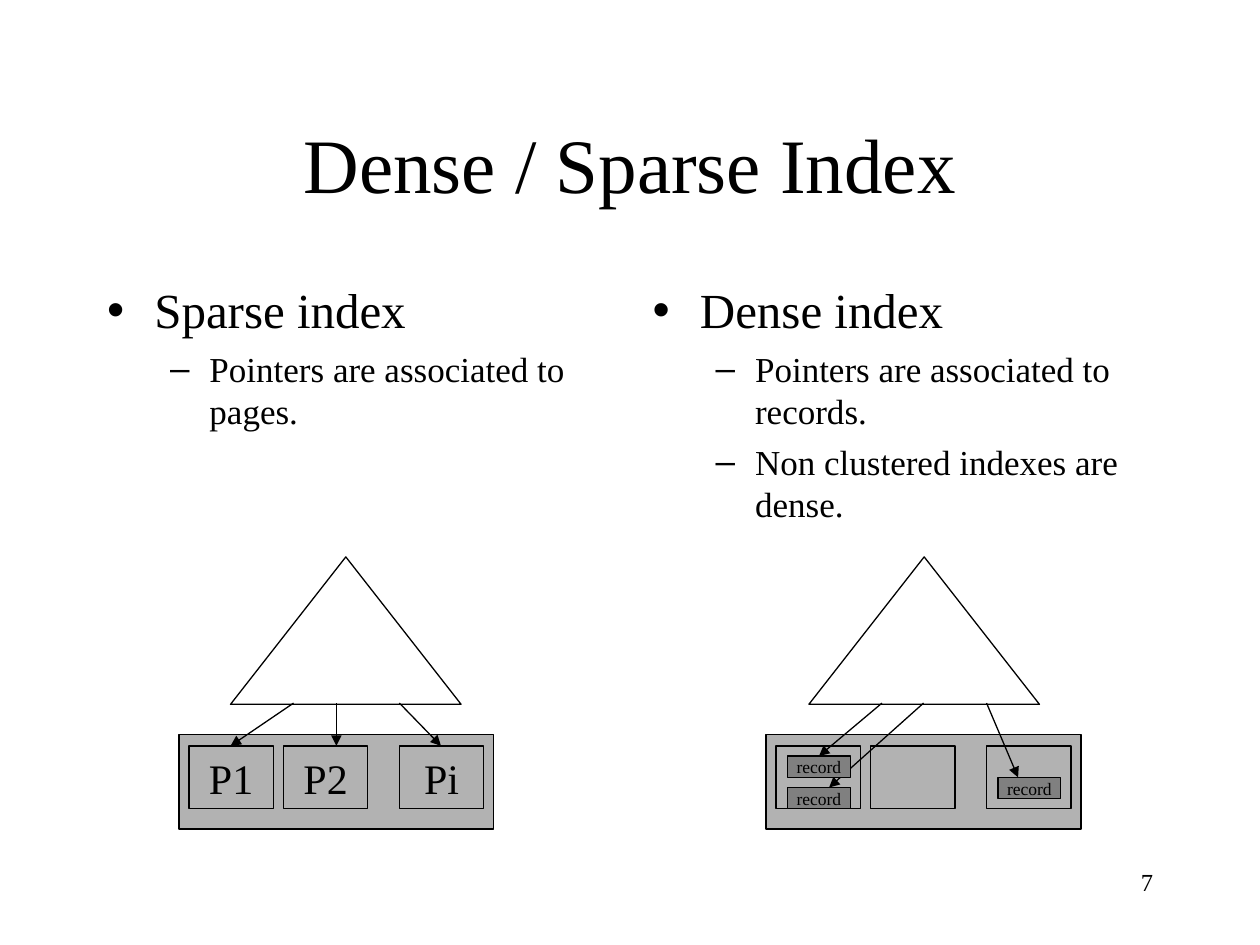
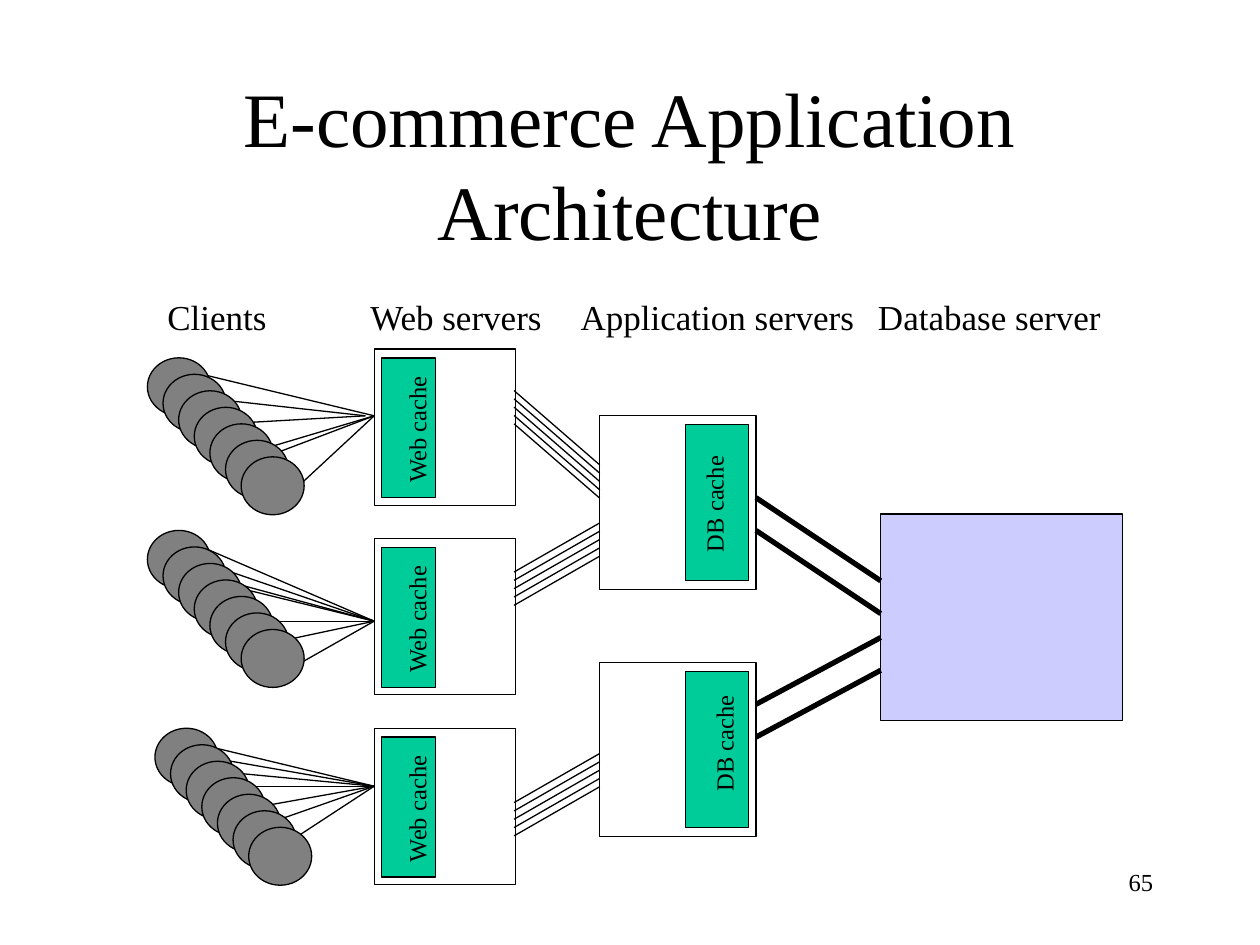
"""Build two slides on index structures and e-commerce architecture."""
from lxml.etree import SubElement
from pptx import Presentation
from pptx.dml.color import RGBColor
from pptx.enum.shapes import MSO_CONNECTOR, MSO_SHAPE as SHAPE
from pptx.enum.text import MSO_ANCHOR as ANCHOR, MSO_AUTO_SIZE as AUTO, PP_ALIGN as ALIGN
from pptx.oxml.ns import qn
from pptx.util import Inches, Pt

FONT = "Times New Roman"
COLORS = {
    "ink": "000000",
    "paper": "FFFFFF",
    "page": "B2B2B2",
    "dark": "808080",
    "cache": "00CC99",
    "database": "CCCCFF",
}
LEVELS = [(28, 7), (20, 5)]


def rgb(name):
    return RGBColor.from_string(COLORS[name])


def style(p, size, align=None):
    p.font.name = FONT
    p.font.size = Pt(size)
    p.font.color.rgb = rgb("ink")
    if align is not None:
        p.alignment = align


def place(sp, x, y, w, h):
    sp.left, sp.top, sp.width, sp.height = (Inches(v) for v in (x, y, w, h))


def add_slide(prs, layout, title, number):
    s = prs.slides.add_slide(prs.slide_layouts[layout])
    sp = s.shapes.title
    place(sp, 0.75, 0.67, 8.5, 1.25)
    tf = sp.text_frame
    tf.text = title
    tf.auto_size = AUTO.NONE
    tf.vertical_anchor = ANCHOR.MIDDLE
    style(tf.paragraphs[0], 44, ALIGN.CENTER)
    tf = s.shapes.add_textbox(Inches(7.17), Inches(6.83), Inches(2.08), Inches(0.5)).text_frame
    tf.word_wrap = True
    tf.text = str(number)
    style(tf.paragraphs[0], 14, ALIGN.RIGHT)
    return s


def fill_list(sp, x, items):
    place(sp, x, 2.17, 4.17, 4.5)
    tf = sp.text_frame
    tf.auto_size = AUTO.NONE
    tf.text = "\n".join(text for _, text in items)
    for i, (p, (level, _)) in enumerate(zip(tf.paragraphs, items)):
        size, before = LEVELS[level]
        p.level = level
        p.space_before = Pt(before if i else 0)
        style(p, size)


def add_label(s, text, x, y, w, h, size, rotation=0):
    sp = s.shapes.add_textbox(Inches(x), Inches(y), Inches(w), Inches(h))
    sp.rotation = rotation
    tf = sp.text_frame
    tf.word_wrap = False
    tf.auto_size = AUTO.SHAPE_TO_FIT_TEXT
    tf.text = text
    style(tf.paragraphs[0], size)


def add_box(s, x, y, w, h, fill=None, text="", size=24, kind=SHAPE.RECTANGLE):
    sp = s.shapes.add_shape(kind, Inches(x), Inches(y), Inches(w), Inches(h))
    sp.shadow.inherit = False
    if fill:
        sp.fill.solid()
        sp.fill.fore_color.rgb = rgb(fill)
    else:
        sp.fill.background()
    sp.line.color.rgb = rgb("ink")
    sp.line.width = Pt(0.75)
    if text:
        tf = sp.text_frame
        tf.word_wrap = False
        tf.vertical_anchor = ANCHOR.MIDDLE
        tf.text = text
        style(tf.paragraphs[0], size, ALIGN.CENTER)


def add_line(s, start, end, width=0.75, arrow=False):
    c = s.shapes.add_connector(MSO_CONNECTOR.STRAIGHT, *(Inches(v) for v in (*start, *end)))
    c.line.color.rgb = rgb("ink")
    c.line.width = Pt(width)
    spPr = c._element.spPr
    if arrow:
        SubElement(spPr.find(qn("a:ln")), qn("a:tailEnd"), type="triangle")
    SubElement(spPr, qn("a:effectLst"))


def add_bundle(s, start, end, count, gap, width=0.75):
    for i in range(count):
        add_line(s, (start[0], start[1] + i * gap), (end[0], end[1] + i * gap), width)


def add_fan(s, starts, hub):
    for start in starts:
        add_line(s, start, hub)


def add_clients(s, x, y):
    for i in range(7):
        add_box(s, x + i * 0.124, y + i * 0.131, 0.5, 0.46, "dark", kind=SHAPE.OVAL)


def add_index(s, tree_x, file_x, pages, arrows):
    add_box(s, file_x, 5.83, 2.5, 0.75, "page")
    add_box(s, tree_x, 4.42, 1.83, 1.17, "paper", kind=SHAPE.ISOSCELES_TRIANGLE)
    for offset, text in zip((0.08, 0.83, 1.75), pages):
        add_box(s, file_x + offset, 5.92, 0.67, 0.5, "page", text)
    for x, end in arrows:
        add_line(s, (x, 5.58), end, arrow=True)


def build_index_slide(prs):
    s = add_slide(prs, 3, "Dense / Sparse Index", 7)
    sparse, dense = list(s.placeholders)[1:]
    fill_list(sparse, 0.75, [(0, "Sparse index"), (1, "Pointers are associated to pages.")])
    fill_list(dense, 5.08, [
        (0, "Dense index"),
        (1, "Pointers are associated to records."),
        (1, "Non clustered indexes are dense."),
    ])
    add_index(s, 1.83, 1.42, ("P1", "P2", "Pi"),
              [(2.33, (1.83, 5.92)), (2.67, (2.67, 5.92)), (3.17, (3.5, 5.92))])
    add_index(s, 6.42, 6.08, ("", "", ""),
              [(7, (6.5, 6)), (7.33, (6.58, 6.25)), (7.83, (8.08, 6.17))])
    for x, y in [(6.25, 6), (6.25, 6.25), (7.92, 6.17)]:
        add_box(s, x, y, 0.5, 0.17, "dark", "record", 10)


def build_architecture_slide(prs):
    s = add_slide(prs, 5, "E-commerce Application Architecture", 65)
    for text, x, w in [("Clients", 1.23, 0.99), ("Web servers", 2.84, 1.58),
                       ("Application servers", 4.51, 2.37), ("Database server", 6.87, 1.97)]:
        add_label(s, text, x, 2.3, w, 0.44, 20)

    add_fan(s, [(1.6, 2.97), (2.1, 3.56), (2.1, 3.63), (2.41, 3.82)], (2.97, 3.3))
    add_fan(s, [(1.72, 3.17), (1.85, 3.36)], (2.9, 3.3))
    add_fan(s, [(1.6, 4.34), (1.66, 4.48), (1.79, 4.61), (1.91, 4.67),
                (1.97, 4.93), (2.03, 5.13), (2.16, 5.39)], (2.97, 4.93))
    add_fan(s, [(1.35, 5.85), (1.48, 5.98), (1.6, 6.11), (1.72, 6.24),
                (1.85, 6.44), (2.03, 6.57), (2.16, 6.77)], (2.97, 6.24))
    for x, y in [(1.17, 2.84), (1.17, 4.21), (1.23, 5.78)]:
        add_clients(s, x, y)

    for i in range(3):
        y = 2.77 + i * 1.505
        add_box(s, 2.97, y, 1.12, 1.24)
        add_box(s, 3.03, y + 0.07, 0.43, 1.11, "cache")
        add_label(s, "Web cache", 2.78, y + 0.46, 1.06, 0.34, 14, 270)
    for y, label_x, label_y in [(3.3, 5.19, 3.83), (5.26, 5.27, 5.73)]:
        add_box(s, 4.76, y, 1.24, 1.38)
        add_box(s, 5.44, y + 0.07, 0.5, 1.24, "cache")
        add_label(s, "DB cache", label_x, label_y, 0.96, 0.34, 14, 270)
    add_box(s, 6.99, 4.08, 1.92, 1.64, "database")

    for web_y, app_y in [(3.1, 3.69), (4.54, 4.15), (6.37, 5.98)]:
        add_bundle(s, (4.08, web_y), (4.76, app_y), 5, 0.066)
    for app_y, db_y in [(3.95, 4.61), (5.59, 5.06)]:
        add_bundle(s, (6, app_y), (6.99, db_y), 2, 0.26, 3)


def main():
    prs = Presentation()
    prs.slide_width, prs.slide_height = Inches(10), Inches(7.5)
    build_index_slide(prs)
    build_architecture_slide(prs)
    prs.save("out.pptx")


if __name__ == "__main__":
    main()
